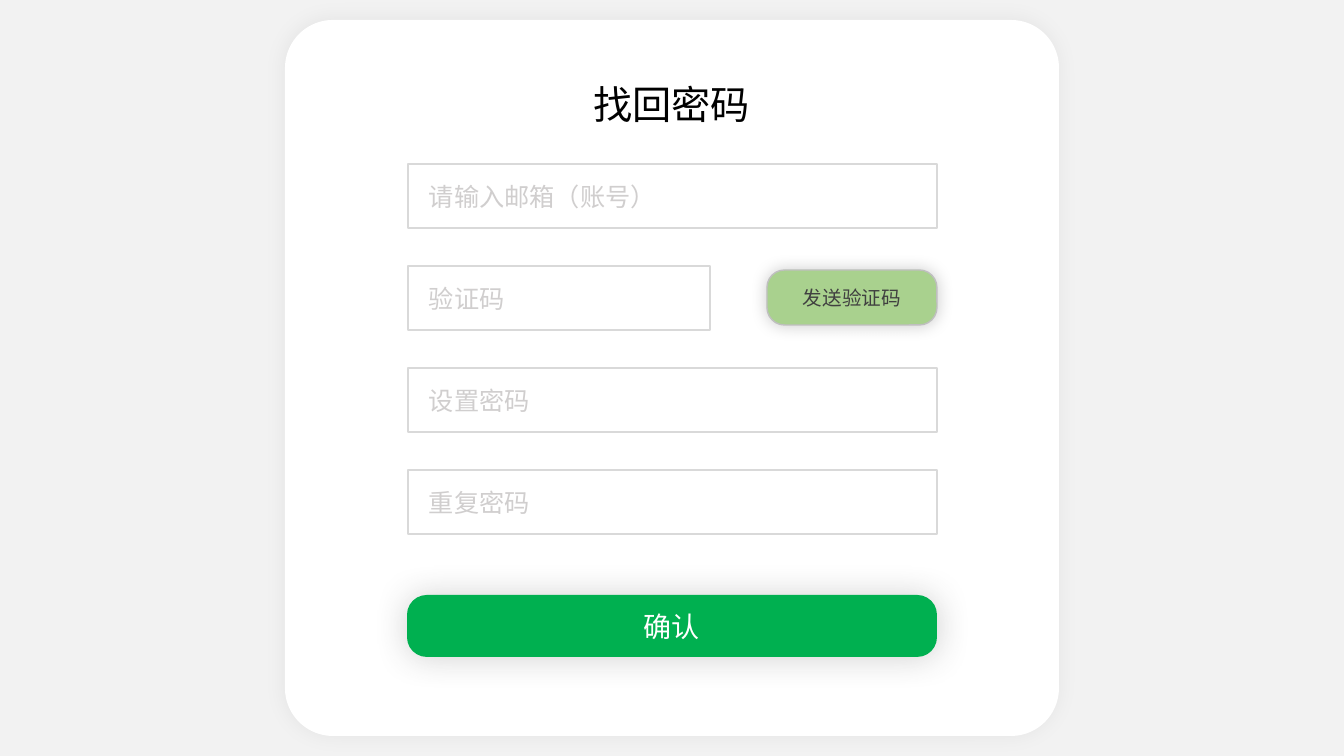
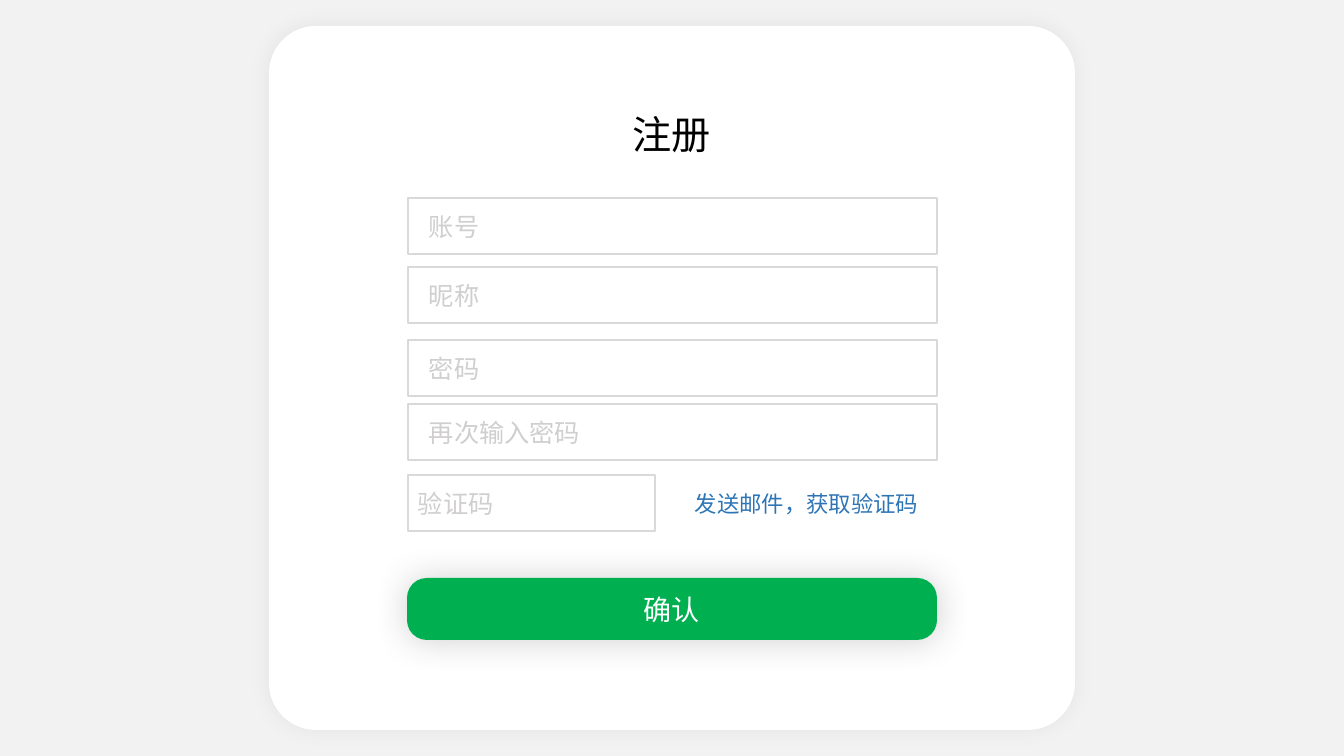
from dataclasses import dataclass

from lxml import etree
from pptx import Presentation
from pptx import util as u
from pptx.dml.color import RGBColor
from pptx.enum import shapes, text
from pptx.oxml import ns

EMU_PER_PX = 914400 / 100.8


def px(n):
    return u.Emu(round(n * EMU_PER_PX))


@dataclass(frozen=True)
class Shadow:
    color: str
    alpha: int
    blur: int


@dataclass(frozen=True)
class Theme:
    font: str = "Noto Sans CJK SC"
    page: str = "F2F2F2"
    white: str = "FFFFFF"
    black: str = "000000"
    border: str = "D9D9D9"
    hint: str = "D0CECE"
    confirm: str = "00B050"
    send: str = "A9D18E"
    send_border: str = "BFBFBF"
    send_text: str = "404040"
    link: str = "2E75B6"
    title_size: int = 28
    confirm_size: int = 20
    field_size: int = 18
    link_size: int = 16
    send_size: int = 14
    card_corner: float = 0.067
    button_corner: float = 0.319
    card_shadow: Shadow = Shadow("000000", 5, 15)
    confirm_shadow: Shadow = Shadow("404040", 24, 24)
    send_shadow: Shadow = Shadow("000000", 20, 12)


class FormDeck:
    def __init__(self, theme):
        self.theme = theme
        self.prs = Presentation()
        self.prs.slide_width, self.prs.slide_height = px(1344), px(756)
        fill = self.prs.slide_master.background.fill
        fill.solid()
        fill.fore_color.rgb = RGBColor.from_string(theme.page)
        self.s = None

    def label(self, sp, words, size, color, align=text.PP_ALIGN.CENTER):
        tf = sp.text_frame
        tf.text = words
        tf.word_wrap = True
        tf.vertical_anchor = text.MSO_ANCHOR.MIDDLE
        p = tf.paragraphs[0]
        p.alignment = align
        r = p.runs[0]
        r.font.size = u.Pt(size)
        r.font.name = self.theme.font
        r.font.color.rgb = RGBColor.from_string(color)
        ea = etree.SubElement(r.font._element, ns.qn("a:ea"))
        ea.set("typeface", self.theme.font)

    def box(self, x, y, w, h, fill, line=None, corner=None, shadow=None):
        kind = shapes.MSO_SHAPE.ROUNDED_RECTANGLE if corner else shapes.MSO_SHAPE.RECTANGLE
        sp = self.s.shapes.add_shape(kind, px(x), px(y), px(w), px(h))
        if corner:
            sp.adjustments[0] = corner
        sp.fill.solid()
        sp.fill.fore_color.rgb = RGBColor.from_string(fill)
        if line:
            sp.line.color.rgb = RGBColor.from_string(line)
            sp.line.width = u.Pt(1)
        else:
            sp.line.fill.background()
        sp.shadow.inherit = False
        if shadow:
            self.cast(sp, shadow)
        return sp

    def cast(self, sp, shadow):
        effects = sp.element.spPr.find(ns.qn("a:effectLst"))
        outer = etree.SubElement(effects, ns.qn("a:outerShdw"), blurRad=str(u.Pt(shadow.blur)),
                                 dist="0", dir="0", algn="ctr", rotWithShape="0")
        color = etree.SubElement(outer, ns.qn("a:srgbClr"), val=shadow.color)
        etree.SubElement(color, ns.qn("a:alpha"), val=str(shadow.alpha * 1000))

    def form(self, title, title_y, x, y, w, h):
        t = self.theme
        self.s = self.prs.slides.add_slide(self.prs.slide_layouts.get_by_name("Title Only"))
        card = self.box(x, y, w, h, t.white, corner=t.card_corner, shadow=t.card_shadow)
        sp = self.s.shapes.title
        sp.left, sp.top, sp.width, sp.height = px(534), px(title_y), px(275), px(57)
        self.label(sp, title, t.title_size, t.black)
        card.element.addnext(sp.element)

    def field(self, hint, y, h, w=529, inset=21):
        t = self.theme
        sp = self.box(408, y, w, h, t.white, line=t.border)
        self.label(sp, hint, t.field_size, t.hint, text.PP_ALIGN.LEFT)
        sp.text_frame.margin_left = px(inset)

    def confirm(self, y):
        t = self.theme
        sp = self.box(407, y, 530, 62, t.confirm, corner=t.button_corner, shadow=t.confirm_shadow)
        self.label(sp, "确认", t.confirm_size, t.white)

    def send_button(self, words, x, y, w, h):
        t = self.theme
        sp = self.box(x, y, w, h, t.send, t.send_border, t.button_corner, t.send_shadow)
        self.label(sp, words, t.send_size, t.send_text)

    def link(self, words, x, y, w, h):
        sp = self.s.shapes.add_textbox(px(x), px(y), px(w), px(h))
        self.label(sp, words, self.theme.link_size, self.theme.link)


deck = FormDeck(Theme())

deck.form("找回密码", 75, 285, 20, 774, 716)
deck.confirm(595)
reset_fields = [("请输入邮箱（账号）", 529), ("验证码", 302), ("设置密码", 529), ("重复密码", 529)]
for i, (hint, w) in enumerate(reset_fields):
    deck.field(hint, 164 + 102 * i, 64, w)
deck.send_button("发送验证码", 767, 270, 170, 55)

deck.form("注册", 105, 269, 26, 806, 704)
deck.confirm(578)
for hint, y in [("账号", 198), ("昵称", 267), ("密码", 340), ("再次输入密码", 404)]:
    deck.field(hint, y, 56)
deck.field("验证码", 475, 56, w=247, inset=10)
deck.link("发送邮件，获取验证码", 676, 485, 261, 37)

deck.prs.save("out.pptx")
